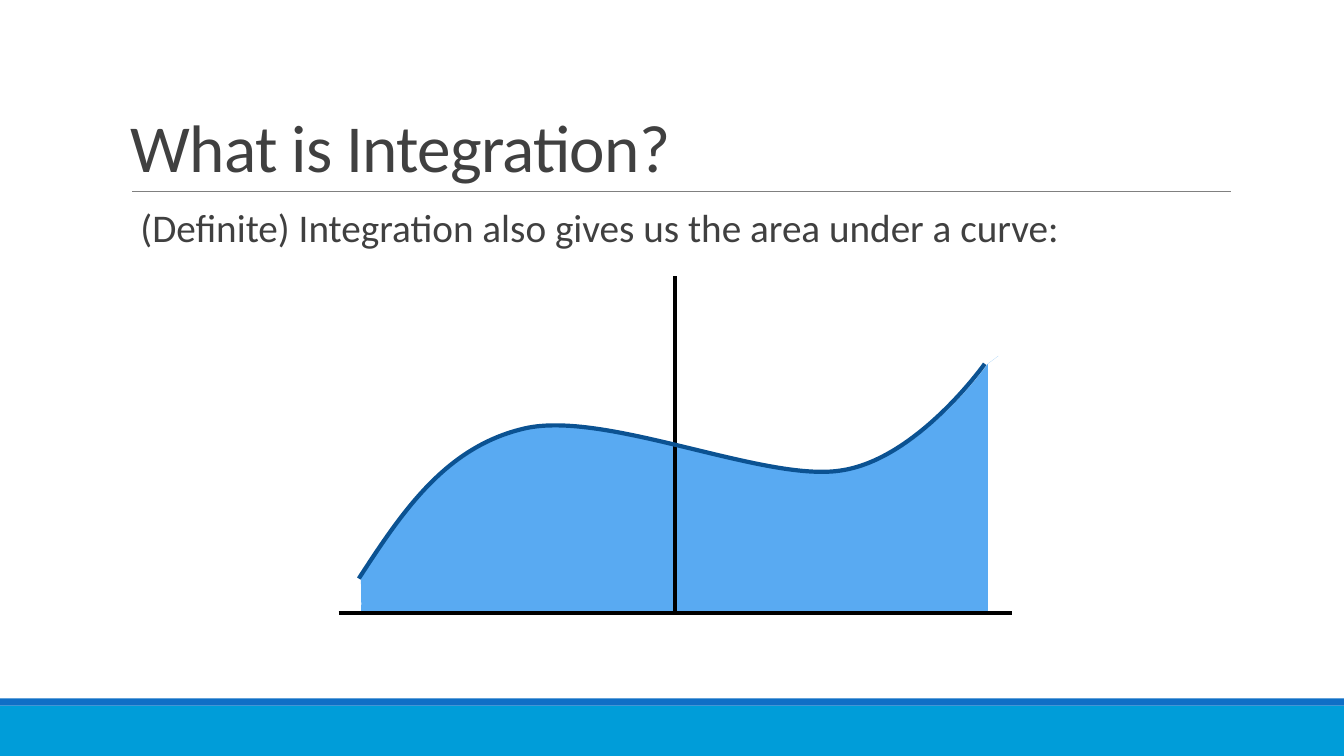
from lxml.etree import SubElement
from pptx import Presentation
from pptx.dml.color import RGBColor
from pptx.enum.shapes import MSO_CONNECTOR as Link, MSO_SHAPE as Kind
from pptx.enum.text import MSO_ANCHOR as Anchor
from pptx.oxml.ns import qn
from pptx.util import Inches, Pt

CYAN = RGBColor(0x00, 0x9D, 0xD9)
BLUE = RGBColor(0x0F, 0x6F, 0xC6)
SKY = RGBColor(0x59, 0xAA, 0xF2)
NAVY = RGBColor(0x0B, 0x52, 0x92)
GRAY = RGBColor(0x80, 0x80, 0x80)
DARK = RGBColor(0x40, 0x40, 0x40)
BLACK = RGBColor(0, 0, 0)

WIDE = Inches(40 / 3)
AREA = [
    (3.58, 6.08),
    (3.59, 6.08), (3.58, 5.73), (3.58, 5.7),
    (3.92, 5.17), (4.45, 4.42), (5.25, 4.25),
    (6.05, 4.08), (7.61, 4.78), (8.36, 4.67),
    (9.12, 4.57), (9.8, 3.61), (9.8, 3.61),
    (10.04, 3.43), (9.8, 3.61), (9.8, 3.61),
    (9.8, 3.61), (9.8, 6.08), (9.8, 6.08),
]
CURVE = [
    (3.56, 5.74),
    (3.99, 5.08), (4.42, 4.43), (5.21, 4.25),
    (6.01, 4.07), (7.57, 4.78), (8.33, 4.67),
    (9.09, 4.57), (9.77, 3.61), (9.77, 3.61),
]


def add_band(slide, top, height, color):
    band = slide.shapes.add_shape(
        Kind.RECTANGLE, 0, Inches(top), WIDE, Inches(height))
    band.shadow.inherit = False
    band.fill.solid()
    band.fill.fore_color.rgb = color
    band.line.fill.background()


def add_line(shapes, start, end, color, width):
    line = shapes.add_connector(Link.STRAIGHT, *map(Inches, start + end))
    line.line.color.rgb = color
    line.line.width = Pt(width)
    SubElement(line._element.spPr, qn("a:effectLst"))


def add_text(slide, text, top, height, size, lead):
    box = slide.shapes.add_textbox(
        Inches(1.2), Inches(top), Inches(11), Inches(height))
    frame = box.text_frame
    frame.word_wrap = True
    frame.text = text
    para = frame.paragraphs[0]
    para.line_spacing = lead
    font = para.runs[0].font
    font.name = "Calibri"
    font.size = Pt(size)
    font.color.rgb = DARK
    return frame


def add_title(slide):
    frame = add_text(slide, "What is Integration?", 0.31, 1.59, 48, 0.85)
    frame.vertical_anchor = Anchor.BOTTOM
    frame.paragraphs[0].runs[0]._r.get_or_add_rPr().set("spc", "-50")


def add_body(slide):
    frame = add_text(
        slide, "(Definite) Integration also gives us the area under a curve:",
        2.02, 4.4, 28, 0.9)
    frame.margin_left = frame.margin_right = 0
    para = frame.paragraphs[0]
    para.space_before = Pt(12)
    para.space_after = Pt(2)
    props = para._p.get_or_add_pPr()
    props.set("marL", str(Inches(0.1)))
    props.set("indent", str(-Inches(0.1)))
    SubElement(props, qn("a:buChar")).set("char", " ")


def add_curve(slide, box, knots):
    left, top, width, height = map(Inches, box)
    pen = slide.shapes.build_freeform(left, top)
    pen.add_line_segments([(left + width, top + height)], close=False)
    shape = pen.convert_to_shape()
    shape.shadow.inherit = False
    route = next(shape._element.iter(qn("a:path")))
    for step in list(route):
        route.remove(step)
    for i, (x, y) in enumerate(knots):
        if i == 0:
            step = SubElement(route, qn("a:moveTo"))
        elif i % 3 == 1:
            step = SubElement(route, qn("a:cubicBezTo"))
        spot = SubElement(step, qn("a:pt"))
        spot.set("x", str(Inches(x) - left))
        spot.set("y", str(Inches(y) - top))
    return shape


def add_area(slide):
    area = add_curve(slide, (3.58, 3.53, 6.33, 2.55), AREA)
    area.fill.solid()
    area.fill.fore_color.rgb = SKY
    area.line.fill.background()


def add_axes(slide):
    axes = slide.shapes.add_group_shape().shapes
    add_line(axes, (6.7, 2.74), (6.7, 6.08), BLACK, 3)
    add_line(axes, (3.36, 6.08), (10.04, 6.08), BLACK, 3)


def add_graph(slide):
    graph = add_curve(slide, (3.56, 3.61, 6.2, 2.13), CURVE)
    graph.fill.background()
    graph.line.color.rgb = NAVY
    graph.line.width = Pt(3)


def main():
    deck = Presentation()
    deck.slide_width = WIDE
    deck.slide_height = Inches(7.5)
    slide = deck.slides.add_slide(deck.slide_layouts[6])

    add_band(slide, 7, 0.5, CYAN)
    add_band(slide, 6.93, 0.07, BLUE)
    add_line(slide.shapes, (1.31, 1.9), (12.21, 1.9), GRAY, 0.5)
    add_area(slide)
    add_title(slide)
    add_body(slide)
    add_axes(slide)
    add_graph(slide)

    deck.save("out.pptx")


if __name__ == "__main__":
    main()
